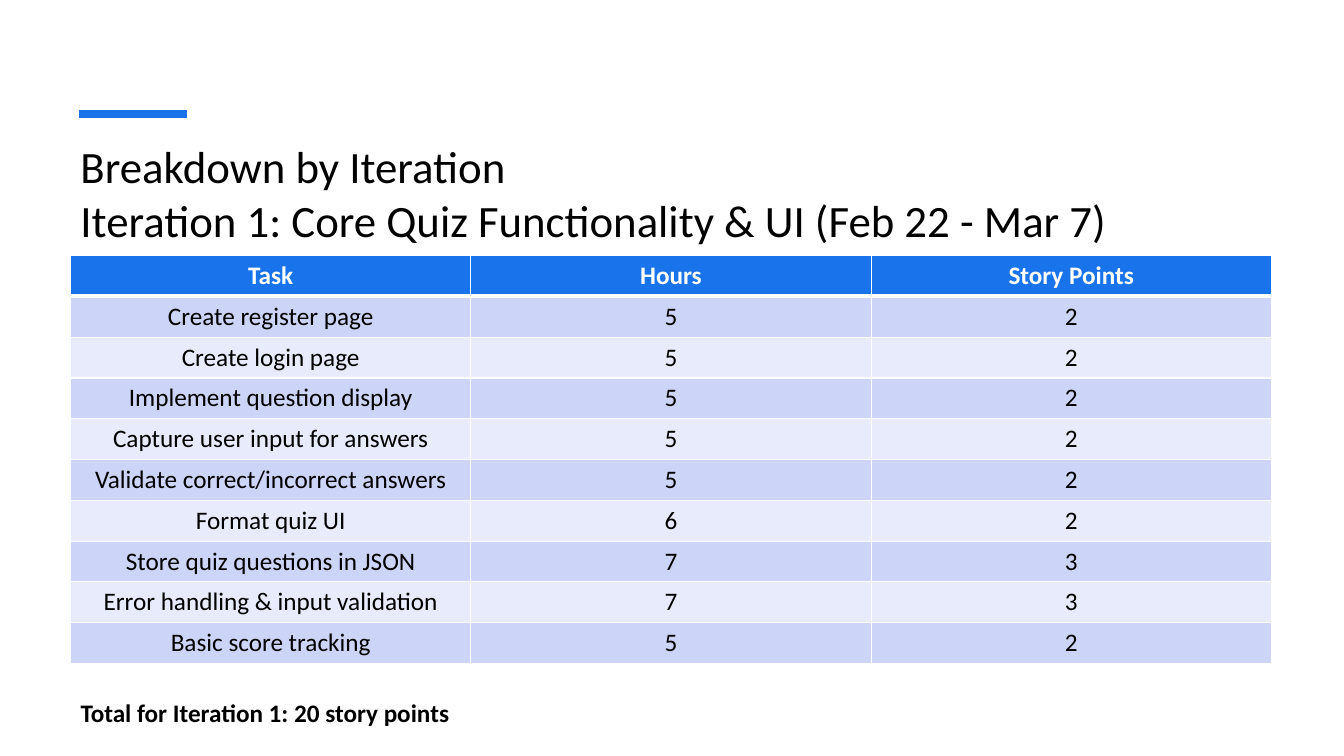
from dataclasses import dataclass

from lxml import etree
from pptx import Presentation, util as u
from pptx.dml.color import RGBColor
from pptx.enum import shapes, text
from pptx.oxml.ns import qn


@dataclass(frozen=True)
class Theme:
    font: str = "Calibri"
    ink: str = "000000"
    paper: str = "FFFFFF"
    blue: str = "1973EB"
    bands: tuple = ("CCD5F7", "E8EBFB")
    title: int = 32
    body: int = 18
    rule: int = 6
    thin: int = 1
    thick: int = 3


class Deck:
    """Places elements by percent of the slide's width and height."""

    def __init__(self, theme, wide, high):
        self.theme = theme
        self.prs = Presentation()
        self.prs.slide_width, self.prs.slide_height = u.Inches(wide), u.Inches(high)
        self.slide = self.prs.slides.add_slide(self.prs.slide_layouts[6])
        self.slide.background.fill.solid()
        self.slide.background.fill.fore_color.rgb = RGBColor.from_string(theme.paper)

    def x(self, share):
        return round(self.prs.slide_width * share / 100)

    def y(self, share):
        return round(self.prs.slide_height * share / 100)

    def box(self, left, top, wide, high):
        return self.x(left), self.y(top), self.x(wide), self.y(high)

    def style(self, para, size, color, bold=False):
        form = {"name": self.theme.font, "size": u.Pt(size), "bold": bold}
        for run in para.runs:
            for key, value in form.items():
                setattr(run.font, key, value)
            run.font.color.rgb = RGBColor.from_string(color)

    def rule(self, left, right, top):
        line = self.slide.shapes.add_connector(
            shapes.MSO_CONNECTOR.STRAIGHT,
            self.x(left), self.y(top), self.x(right), self.y(top))
        line.line.color.rgb = RGBColor.from_string(self.theme.blue)
        line.line.width = u.Pt(self.theme.rule)
        etree.SubElement(line._element.spPr, qn("a:effectLst"))

    def label(self, words, area, size, bold=False):
        frame = self.slide.shapes.add_textbox(*self.box(*area)).text_frame
        form = {"word_wrap": True, "vertical_anchor": text.MSO_ANCHOR.MIDDLE}
        for key, value in form.items():
            setattr(frame, key, value)
        para = frame.paragraphs[0]
        para.text = words
        self.style(para, size, self.theme.ink, bold)

    def edge(self, cell, side, width):
        line = etree.SubElement(cell._tc.get_or_add_tcPr(), qn(f"a:ln{side}"),
                                w=str(u.Pt(width)))
        fill = etree.SubElement(line, qn("a:solidFill"))
        etree.SubElement(fill, qn("a:srgbClr"), val=self.theme.paper)

    def cell(self, cell, words, row):
        look = self.theme
        head = row == 0
        # Borders come before the fill in the cell's properties
        heavy = {0: "B", 1: "T"}.get(row)
        for side in "LRTB":
            self.edge(cell, side, look.thick if side == heavy else look.thin)
        cell.fill.solid()
        cell.fill.fore_color.rgb = RGBColor.from_string(
            look.blue if head else look.bands[(row - 1) % 2])
        para = cell.text_frame.paragraphs[0]
        para.text = str(words)
        para.alignment = text.PP_ALIGN.CENTER
        self.style(para, look.body, look.paper if head else look.ink, head)

    def table(self, rows, left, top, wide, step):
        area = self.box(left, top, wide, step * len(rows))
        grid = self.slide.shapes.add_table(len(rows), len(rows[0]), *area).table
        for r, row in enumerate(rows):
            grid.rows[r].height = self.y(step)
            for c, words in enumerate(row):
                self.cell(grid.cell(r, c), words, r)

    def save(self):
        self.prs.save("out.pptx")


TASKS = [
    ("Task", "Hours", "Story Points"),
    ("Create register page", 5, 2),
    ("Create login page", 5, 2),
    ("Implement question display", 5, 2),
    ("Capture user input for answers", 5, 2),
    ("Validate correct/incorrect answers", 5, 2),
    ("Format quiz UI", 6, 2),
    ("Store quiz questions in JSON", 7, 3),
    ("Error handling & input validation", 7, 3),
    ("Basic score tracking", 5, 2),
]
LEFT, WIDE = 5.25, 89.35


def main():
    look = Theme()
    deck = Deck(look, 13.33, 7.5)

    # Accent rule and title
    deck.rule(5.88, 13.9, 15.07)
    deck.label("Breakdown by Iteration\v"
               "Iteration 1: Core Quiz Functionality & UI (Feb 22 - Mar 7)",
               (LEFT, 17.47, WIDE, 16), look.title)

    # Task table
    deck.table(TASKS, LEFT, 33.8, WIDE, 5.4)

    # Total
    deck.label("Total for Iteration 1: 20 story points",
               (LEFT, 91.5, 44.1, 5.4), look.body, bold=True)
    deck.save()


if __name__ == "__main__":
    main()
